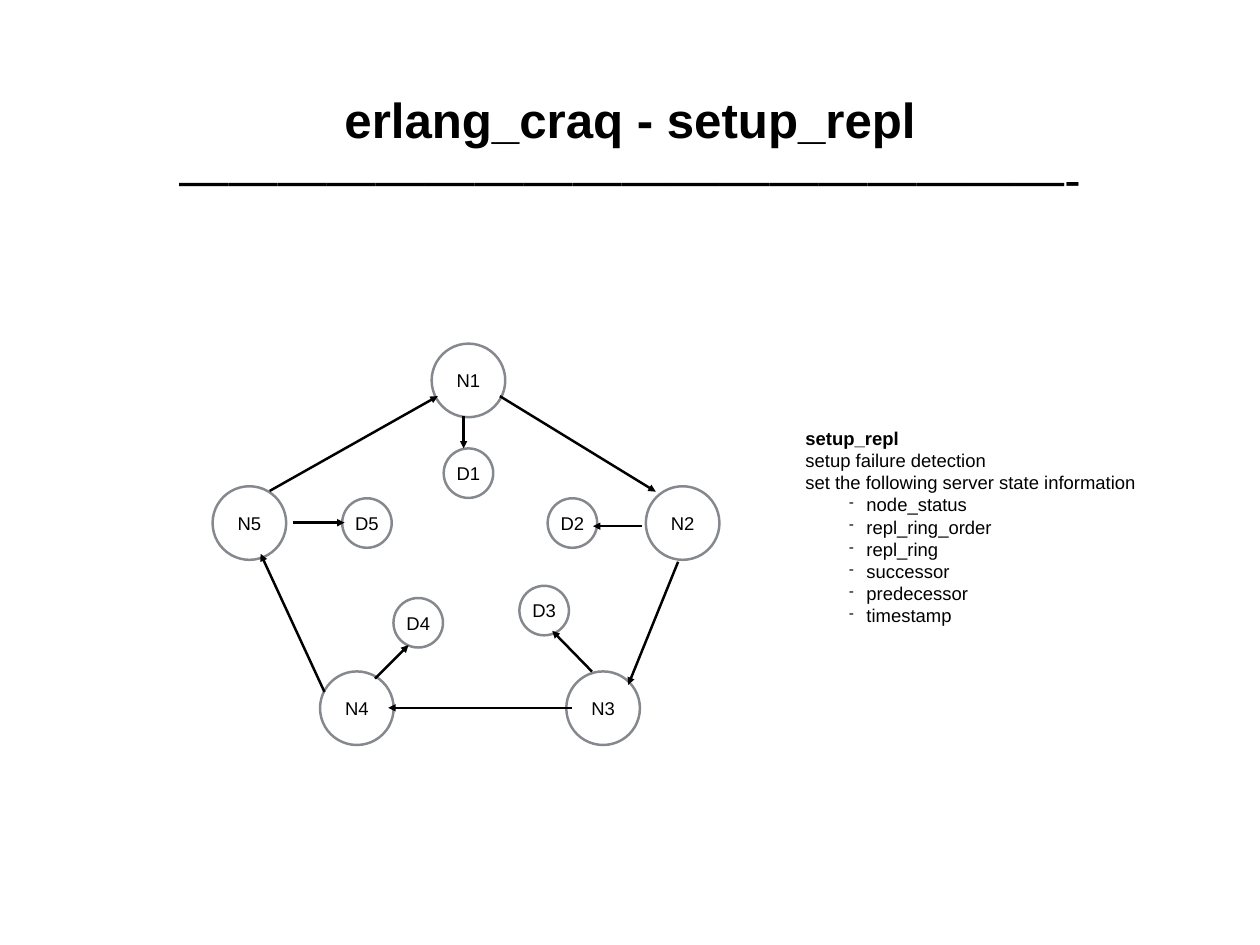
from dataclasses import dataclass

from lxml import etree
from pptx import Presentation
from pptx import util as u
from pptx.dml.color import RGBColor
from pptx.enum import shapes, text
from pptx.oxml.ns import qn


@dataclass(frozen=True)
class Theme:
    ink: RGBColor = RGBColor(0x00, 0x00, 0x00)
    ring: RGBColor = RGBColor(0x85, 0x88, 0x8D)
    font: str = "Arial"
    title_size: int = 40
    body_size: int = 15
    line_width: int = 2
    inset: float = 0.15


THEME = Theme()
NODE_SIZE, DISK_SIZE = 2.11, 1.42

# Circle centres in cm, relative to the ring's box
NODES = {"N1": (7.33, 1.05), "N2": (13.47, 5.14), "N3": (11.19, 10.45),
         "N4": (4.13, 10.45), "N5": (1.05, 5.14)}
DISKS = {"D1": (7.33, 3.71), "D2": (10.31, 5.14), "D3": (9.5, 7.65),
         "D4": (5.89, 8.0), "D5": (4.42, 5.14)}

# Arrow starts and ends in cm, relative to the ring's box
ARROWS = [
    ((10.87, 9.4), (9.73, 8.23)),      # N3 to D3
    ((12.29, 5.23), (10.9, 5.23)),     # N2 to D2
    ((7.19, 2.08), (7.19, 3.0)),       # N1 to D1
    ((2.29, 5.13), (3.78, 5.13)),      # N5 to D5
    ((4.65, 9.6), (5.61, 8.64)),       # N4 to D4
    ((3.2, 9.98), (1.37, 6.02)),       # N4 to N5
    ((10.29, 10.44), (5.03, 10.44)),   # N3 to N4
    ((13.34, 6.25), (11.91, 9.78)),    # N2 to N3
    ((8.23, 1.5), (12.7, 4.24)),       # N1 to N2
    ((1.63, 4.22), (6.45, 1.5)),       # N5 to N1
]

STEPS = ["setup failure detection", "set the following server state information"]
STATE = ["node_status", "repl_ring_order", "repl_ring",
         "successor", "predecessor", "timestamp"]


def format_frame(frame, wrap=True, inset=THEME.inset):
    values = {"word_wrap": wrap, "auto_size": text.MSO_AUTO_SIZE.NONE,
              "vertical_anchor": text.MSO_ANCHOR.MIDDLE}
    for side in ("left", "top", "right", "bottom"):
        values[f"margin_{side}"] = u.Cm(inset)
    for name, value in values.items():
        setattr(frame, name, value)


def write(para, words, size, bold=False, align=text.PP_ALIGN.CENTER):
    para.alignment = align
    span = para.add_run()
    span.text = words
    for name, value in {"name": THEME.font, "size": u.Pt(size), "bold": bold}.items():
        setattr(span.font, name, value)
    span.font.color.rgb = THEME.ink


def add_title(page, left, top, width, height):
    title = page.shapes.title
    for name, value in {"left": left, "top": top, "width": width, "height": height}.items():
        setattr(title, name, u.Cm(value))
    frame = title.text_frame
    format_frame(frame)
    write(frame.paragraphs[0], "erlang_craq - setup_repl", THEME.title_size, bold=True)
    write(frame.add_paragraph(), "——————————————————-", THEME.title_size)


def add_circle(page, label, x, y, size):
    circle = page.shapes.add_shape(shapes.MSO_SHAPE.OVAL, u.Cm(x - size / 2),
                                   u.Cm(y - size / 2), u.Cm(size), u.Cm(size))
    circle.shadow.inherit = False
    circle.fill.background()
    circle.line.color.rgb = THEME.ring
    circle.line.width = u.Pt(THEME.line_width)
    format_frame(circle.text_frame, wrap=False, inset=0)
    write(circle.text_frame.paragraphs[0], label, THEME.body_size)


def add_arrow(page, x1, y1, x2, y2):
    arrow = page.shapes.add_connector(shapes.MSO_CONNECTOR.STRAIGHT,
                                      u.Cm(x1), u.Cm(y1), u.Cm(x2), u.Cm(y2))
    arrow.line.color.rgb = THEME.ink
    arrow.line.width = u.Pt(THEME.line_width)
    etree.SubElement(arrow.line._get_or_add_ln(), qn("a:tailEnd"), type="triangle")
    etree.SubElement(arrow._element.spPr, qn("a:effectLst"))


def add_ring(page, left, top):
    for circles, size in ((NODES, NODE_SIZE), (DISKS, DISK_SIZE)):
        for label, (x, y) in circles.items():
            add_circle(page, label, left + x, top + y, size)
    for (x1, y1), (x2, y2) in ARROWS:
        add_arrow(page, left + x1, top + y1, left + x2, top + y2)


def add_dash(para):
    para.level = 1
    props = para._p.get_or_add_pPr()
    props.set("marL", str(u.Cm(1.75)))
    props.set("indent", str(u.Cm(-0.5)))
    etree.SubElement(props, qn("a:buSzPct"), val="75000")
    etree.SubElement(props, qn("a:buChar"), char="-")


def add_explanation(page, left, top, width, height):
    box = page.shapes.add_textbox(u.Cm(left), u.Cm(top), u.Cm(width), u.Cm(height))
    frame = box.text_frame
    format_frame(frame)
    left_align = text.PP_ALIGN.LEFT
    write(frame.paragraphs[0], "setup_repl", THEME.body_size, bold=True, align=left_align)
    for words in STEPS + STATE:
        para = frame.add_paragraph()
        if words in STATE:
            add_dash(para)
        write(para, words, THEME.body_size, align=left_align)


def main():
    deck = Presentation()
    deck.slide_width, deck.slide_height = u.Cm(36.12), u.Cm(27.1)
    page = deck.slides.add_slide(deck.slide_layouts[5])  # title only

    add_title(page, 2.64, 1.24, 30.84, 6.0)
    add_ring(page, 6.1, 9.86)
    add_explanation(page, 22.94, 11.79, 9.98, 6.63)

    deck.save("out.pptx")


if __name__ == "__main__":
    main()
